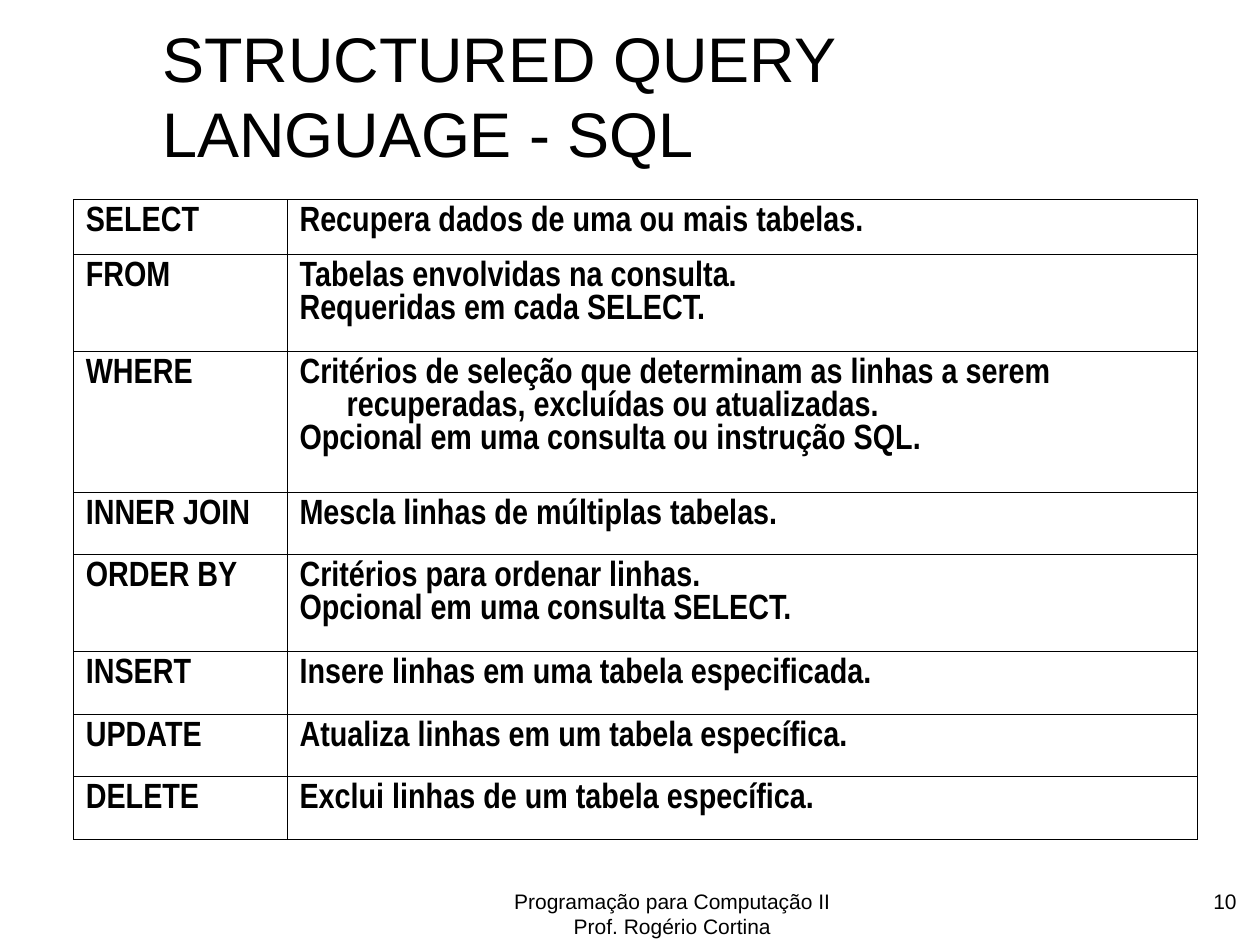
"""Build the slide that lists the main SQL keywords."""
from pptx import Presentation
from pptx.dml.color import RGBColor
from pptx.enum.text import MSO_ANCHOR as Anchor, PP_ALIGN as Align
from pptx.oxml import parse_xml
from pptx.oxml.ns import nsdecls
from pptx.util import Cm, Pt

COLORS = {"text": "000000", "border": "000000"}


def add_span(para, text, size, font="Arial", bold=False):
    span = para.add_run()
    span.text = text
    span.font.size = Pt(size)
    span.font.name = font
    span.font.bold = bold
    span.font.color.rgb = RGBColor.from_string(COLORS["text"])


def add_box(left, top, width, height, lines, size, align, anchor=Anchor.TOP):
    box = page.shapes.add_textbox(Cm(left), Cm(top), Cm(width), Cm(height))
    frame = box.text_frame
    frame.word_wrap = True
    frame.vertical_anchor = anchor
    para = frame.paragraphs[0]
    para.alignment = align
    for index, line in enumerate(lines):
        if index:
            para.add_line_break()
        add_span(para, line, size)


deck = Presentation()
deck.slide_width, deck.slide_height = Cm(25.4), Cm(19.05)
page = deck.slides.add_slide(deck.slide_layouts[6])

add_box(9.53, 17.78, 8.05, 1.27,
        ["Programação para Computação II", "Prof. Rogério Cortina"], 12, Align.CENTER)
add_box(19.9, 17.78, 5.28, 1.27, ["10"], 12, Align.RIGHT)
add_box(3.02, 0.43, 19.48, 2.97,
        ["STRUCTURED QUERY LANGUAGE - SQL"], 36, Align.LEFT, Anchor.MIDDLE)

keywords = [
    ("SELECT", 1.1, ["Recupera dados de uma ou mais tabelas."]),
    ("FROM", 1.94, ["Tabelas envolvidas na consulta.", "Requeridas em cada SELECT."]),
    ("WHERE", 2.84, ["Critérios de seleção que determinam as linhas a serem "
                     "recuperadas, excluídas ou atualizadas.",
                     "Opcional em uma consulta ou instrução SQL."]),
    ("INNER JOIN", 1.26, ["Mescla linhas de múltiplas tabelas."]),
    ("ORDER BY", 1.95, ["Critérios para ordenar linhas.", "Opcional em uma consulta SELECT."]),
    ("INSERT", 1.26, ["Insere linhas em uma tabela especificada."]),
    ("UPDATE", 1.26, ["Atualiza linhas em um tabela específica."]),
    ("DELETE", 1.26, ["Exclui linhas de um tabela específica."]),
]
widths = [4.31, 18.35]
total_height = sum(height for _, height, _ in keywords)
table = page.shapes.add_table(len(keywords), len(widths), Cm(1.48), Cm(4.02),
                              Cm(sum(widths)), Cm(total_height)).table
table.first_row = False
table.horz_banding = False
for column, width in zip(table.columns, widths):
    column.width = Cm(width)

for row, (keyword, height, description) in zip(table.rows, keywords):
    row.height = Cm(height)
    for cell, lines in zip(row.cells, ([keyword], description)):
        cell.margin_left = cell.margin_right = Cm(0.25)
        cell.margin_top = cell.margin_bottom = Cm(0.13)
        for index, line in enumerate(lines):
            frame = cell.text_frame
            para = frame.add_paragraph() if index else frame.paragraphs[0]
            properties = para._p.get_or_add_pPr()
            properties.set("marL", str(Cm(0.95)))
            properties.set("indent", str(-Cm(0.95)))
            add_span(para, line, 20, "Arial Narrow", True)
        cell_properties = cell._tc.get_or_add_tcPr()
        for side in ("lnL", "lnR", "lnT", "lnB"):
            cell_properties.append(parse_xml(
                f'<a:{side} {nsdecls("a")} w="{Pt(0.45)}"><a:solidFill>'
                f'<a:srgbClr val="{COLORS["border"]}"/></a:solidFill></a:{side}>'))
        cell.fill.background()

deck.save("out.pptx")
